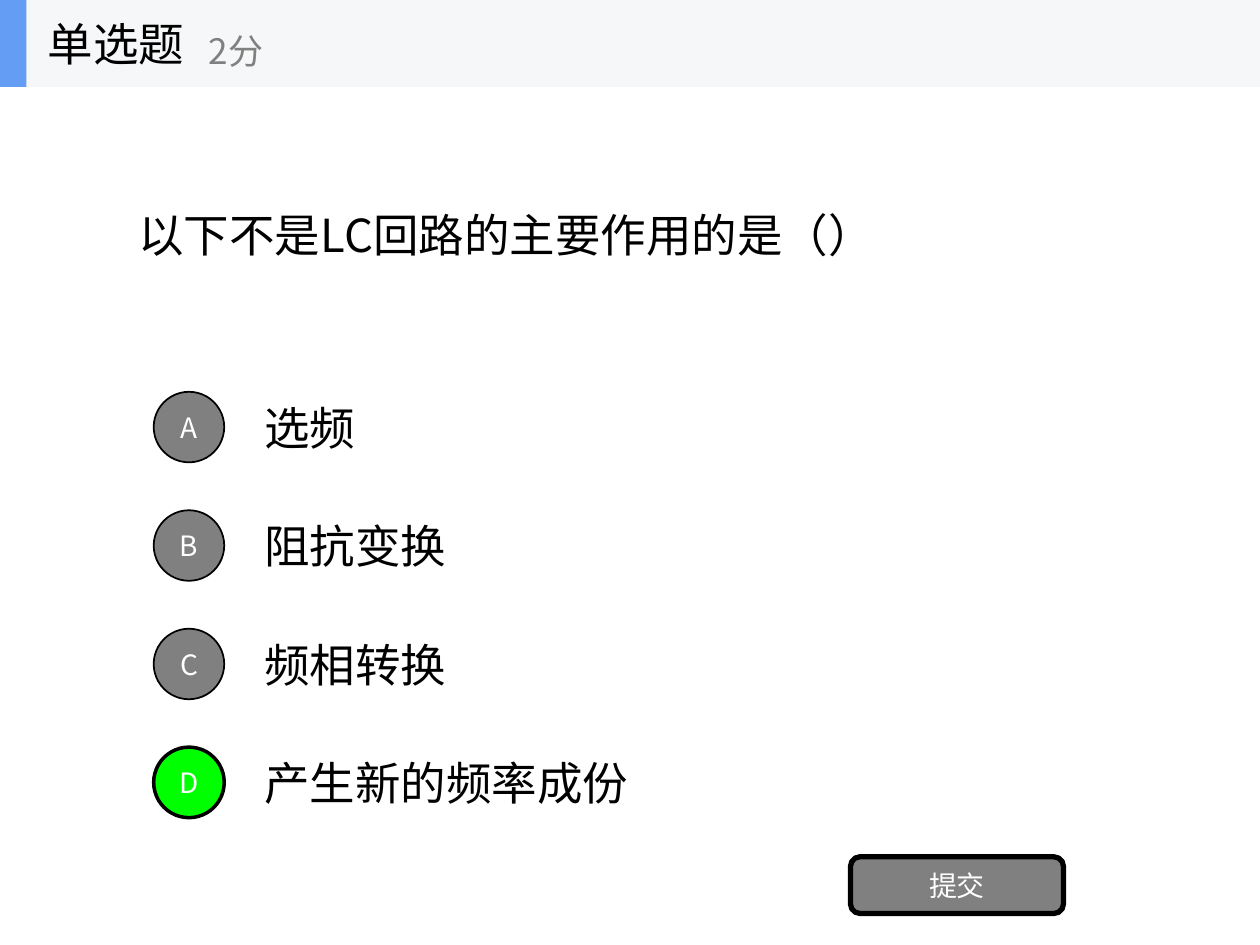
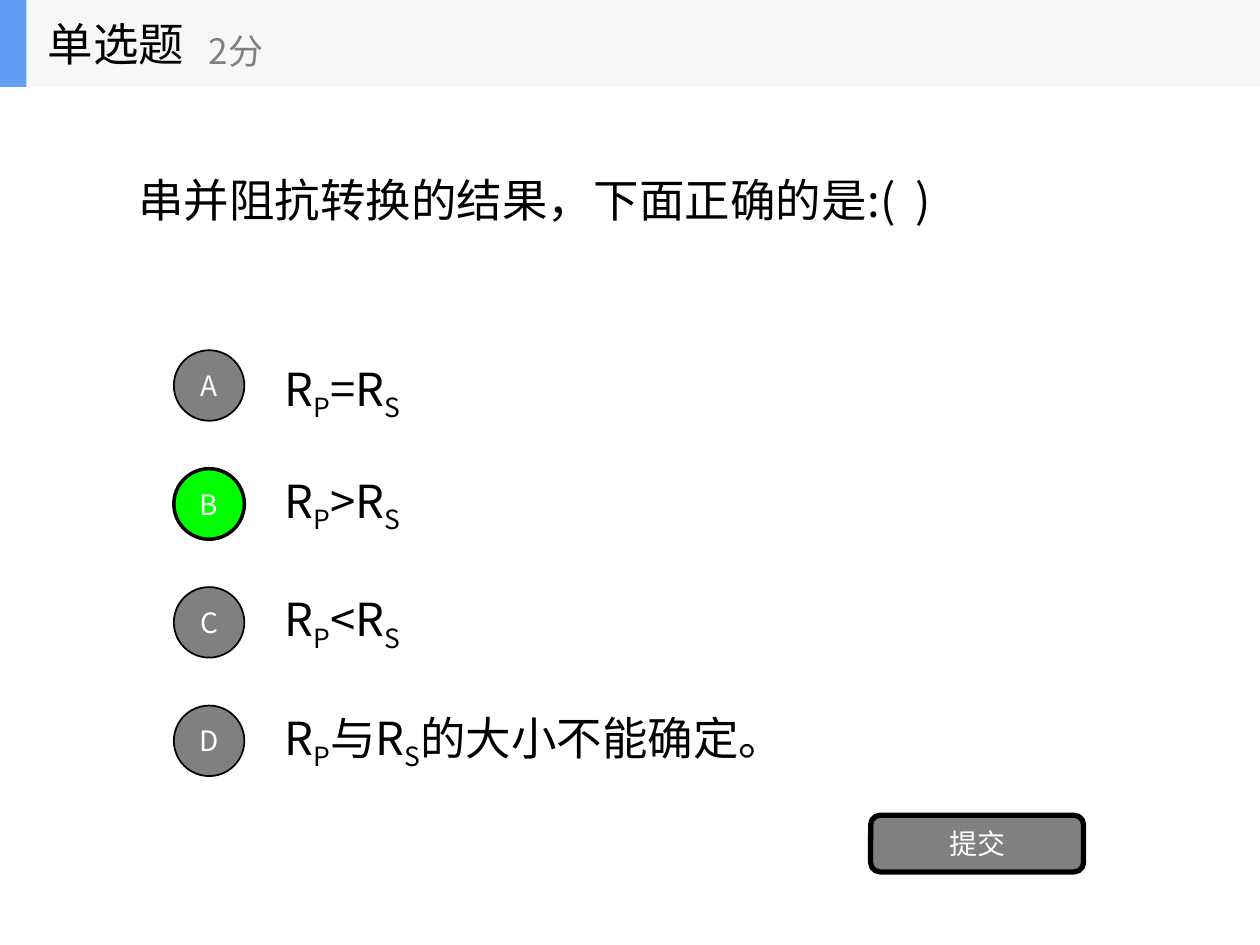
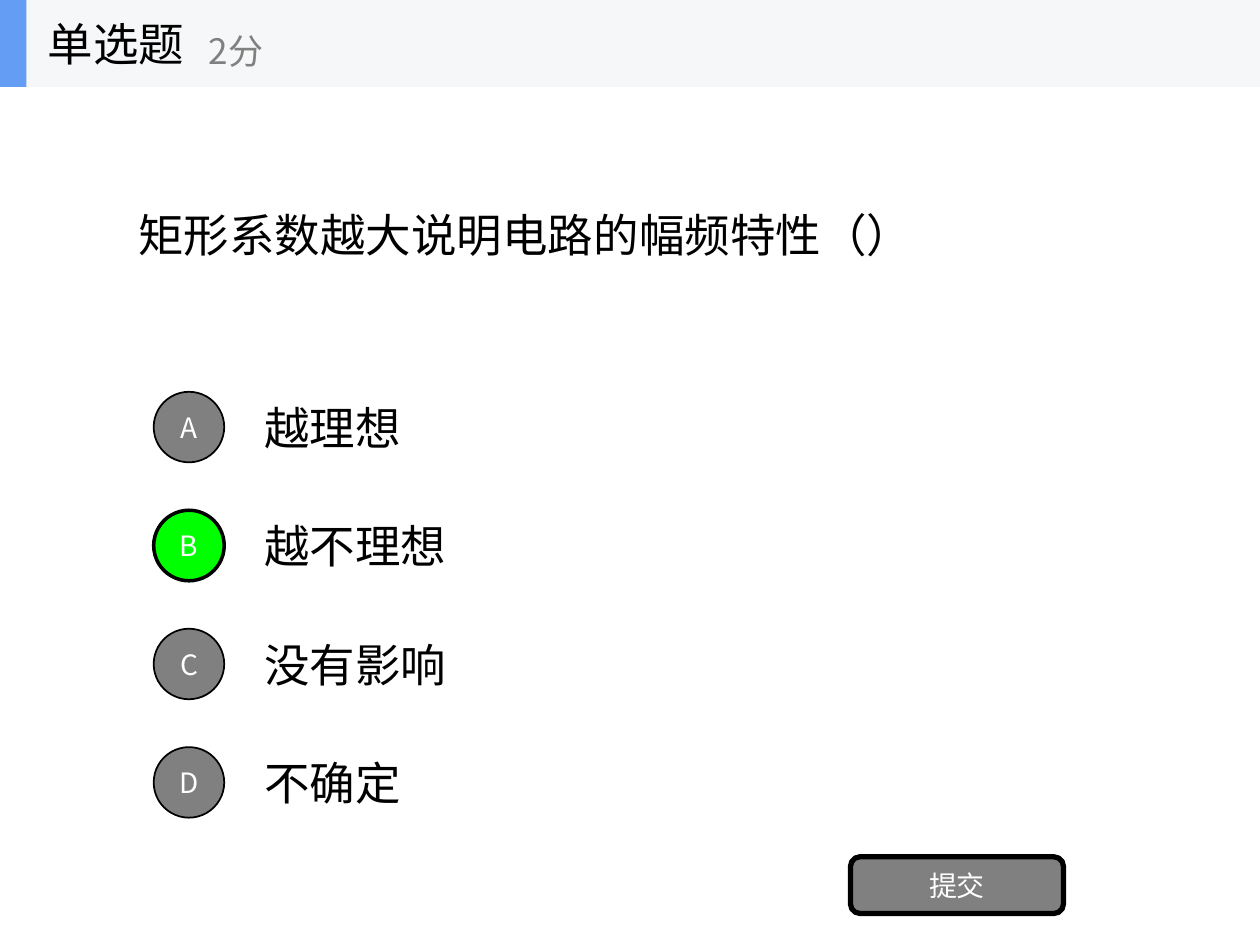
from dataclasses import dataclass

from lxml import etree
from pptx import Presentation
from pptx.dml.color import RGBColor
from pptx.enum.shapes import MSO_SHAPE
from pptx.enum.text import MSO_ANCHOR, PP_ALIGN
from pptx.oxml.ns import qn
from pptx.shapes.autoshape import Shape
from pptx.shapes.shapetree import GroupShapes, SlideShapes
from pptx.slide import Slide
from pptx.util import Inches, Pt

RECTANGLE = MSO_SHAPE.RECTANGLE
OVAL = MSO_SHAPE.OVAL
ROUNDED = MSO_SHAPE.ROUNDED_RECTANGLE
MIDDLE = MSO_ANCHOR.MIDDLE
LEFT, CENTER = PP_ALIGN.LEFT, PP_ALIGN.CENTER

FONT = "Noto Sans CJK SC"
BLACK = RGBColor(0x00, 0x00, 0x00)
WHITE = RGBColor(0xFF, 0xFF, 0xFF)
GRAY = RGBColor(0x80, 0x80, 0x80)
GREEN = RGBColor(0x00, 0xFF, 0x00)
BAND = RGBColor(0xF6, 0xF7, 0xF8)
ACCENT = RGBColor(0x63, 0x9E, 0xF4)

BODY_SIZE, POINTS_SIZE, BUTTON_SIZE = 26, 20, 16
BAND_HEIGHT = 0.69
ROW_PITCH = 0.94
MARK_SIZE = 0.56

Shapes = SlideShapes | GroupShapes


@dataclass(frozen=True)
class Box:
    left: float
    top: float
    width: float
    height: float

    def lengths(self) -> tuple[Inches, ...]:
        return tuple(Inches(n) for n in (self.left, self.top, self.width, self.height))


@dataclass(frozen=True)
class Question:
    text: str
    answers: tuple[str, ...]  # "_" lowers the next character
    correct: str
    text_top: float = 0.69
    marks_left: float = 1.22
    marks_top: float = 3.11
    first_answer_drop: float = 0


QUESTIONS = (
    Question("以下不是LC回路的主要作用的是（）",
             ("选频", "阻抗变换", "频相转换", "产生新的频率成份"), "D"),
    Question("串并阻抗转换的结果，下面正确的是:(  )",
             ("R_P=R_S", "R_P>R_S", "R_P<R_S", "R_P与R_S的大小不能确定。"), "B",
             text_top=0.41, marks_left=1.38, marks_top=2.78, first_answer_drop=0.05),
    Question("矩形系数越大说明电路的幅频特性（）",
             ("越理想", "越不理想", "没有影响", "不确定"), "B"),
)


def write(shape: Shape, text: str, size: int, color: RGBColor, align: PP_ALIGN) -> None:
    frame = shape.text_frame
    frame.word_wrap = True
    frame.vertical_anchor = MIDDLE
    paragraph = frame.paragraphs[0]
    paragraph.alignment = align
    font = paragraph.font
    font.size = Pt(size)
    font.color.rgb = color
    font.name = FONT
    # East Asian glyphs need their own typeface entry
    defaults = paragraph._p.pPr.find(qn("a:defRPr"))
    etree.SubElement(defaults, qn("a:ea")).set("typeface", FONT)

    first, *lowered = text.split("_")
    paragraph.add_run().text = first
    for piece in lowered:
        subscript = paragraph.add_run()
        subscript.text = piece[0]
        subscript.font._element.set("baseline", "-25000")
        if piece[1:]:
            paragraph.add_run().text = piece[1:]


def add_text(shapes: Shapes, box: Box, text: str, size: int = BODY_SIZE,
             color: RGBColor = BLACK) -> None:
    write(shapes.add_textbox(*box.lengths()), text, size, color, LEFT)


def add_block(shapes: Shapes, kind: MSO_SHAPE, box: Box, fill: RGBColor,
              line_width: int = 0) -> Shape:
    shape = shapes.add_shape(kind, *box.lengths())
    shape.shadow.inherit = False
    shape.fill.solid()
    shape.fill.fore_color.rgb = fill
    if line_width:
        shape.line.color.rgb = BLACK
        shape.line.width = Pt(line_width)
    else:
        shape.line.fill.background()
    return shape


def add_button(shapes: Shapes, kind: MSO_SHAPE, box: Box, fill: RGBColor,
               line_width: int, label: str) -> None:
    shape = add_block(shapes, kind, box, fill, line_width)
    frame = shape.text_frame
    frame.margin_left = frame.margin_right = Inches(0)
    frame.margin_top = frame.margin_bottom = Inches(0)
    write(shape, label, BUTTON_SIZE, WHITE, CENTER)


def add_header(slide: Slide) -> None:
    shapes = slide.shapes.add_group_shape().shapes
    add_block(shapes, RECTANGLE, Box(0, 0, 10, BAND_HEIGHT), BAND)
    add_block(shapes, RECTANGLE, Box(0, 0, 0.21, BAND_HEIGHT), ACCENT)
    add_text(shapes, Box(0.28, 0, 2.08, BAND_HEIGHT), "单选题")
    add_text(shapes, Box(1.56, 0.12, 2.5, 0.56), "2分", POINTS_SIZE, GRAY)


def add_question(slide: Slide, question: Question) -> None:
    shapes = slide.shapes
    left, top = question.marks_left, question.marks_top
    add_text(shapes, Box(1, question.text_top, 8, 2.34), question.text)

    # Answer texts
    for row, answer in enumerate(question.answers):
        drop = question.first_answer_drop if row == 0 else 0
        answer_top = top + row * ROW_PITCH - 0.07 + drop
        add_text(shapes, Box(left + 0.78, answer_top, 7, 0.7), answer)

    # Lettered marks, the correct one highlighted
    for row, letter in enumerate("ABCD"):
        fill, line_width = (GREEN, 2) if letter == question.correct else (GRAY, 1)
        box = Box(left, top + row * ROW_PITCH, MARK_SIZE, MARK_SIZE)
        add_button(shapes, OVAL, box, fill, line_width, letter)

    # Submit button
    add_button(shapes, ROUNDED, Box(left + 5.53, top + 3.69, 1.69, 0.45), GRAY, 3, "提交")


def main() -> None:
    presentation = Presentation()
    presentation.slide_width = Inches(10)
    presentation.slide_height = Inches(7.5)
    blank = presentation.slide_layouts[6]
    for question in QUESTIONS:
        slide = presentation.slides.add_slide(blank)
        add_question(slide, question)
        add_header(slide)
    presentation.save("out.pptx")


if __name__ == "__main__":
    main()
